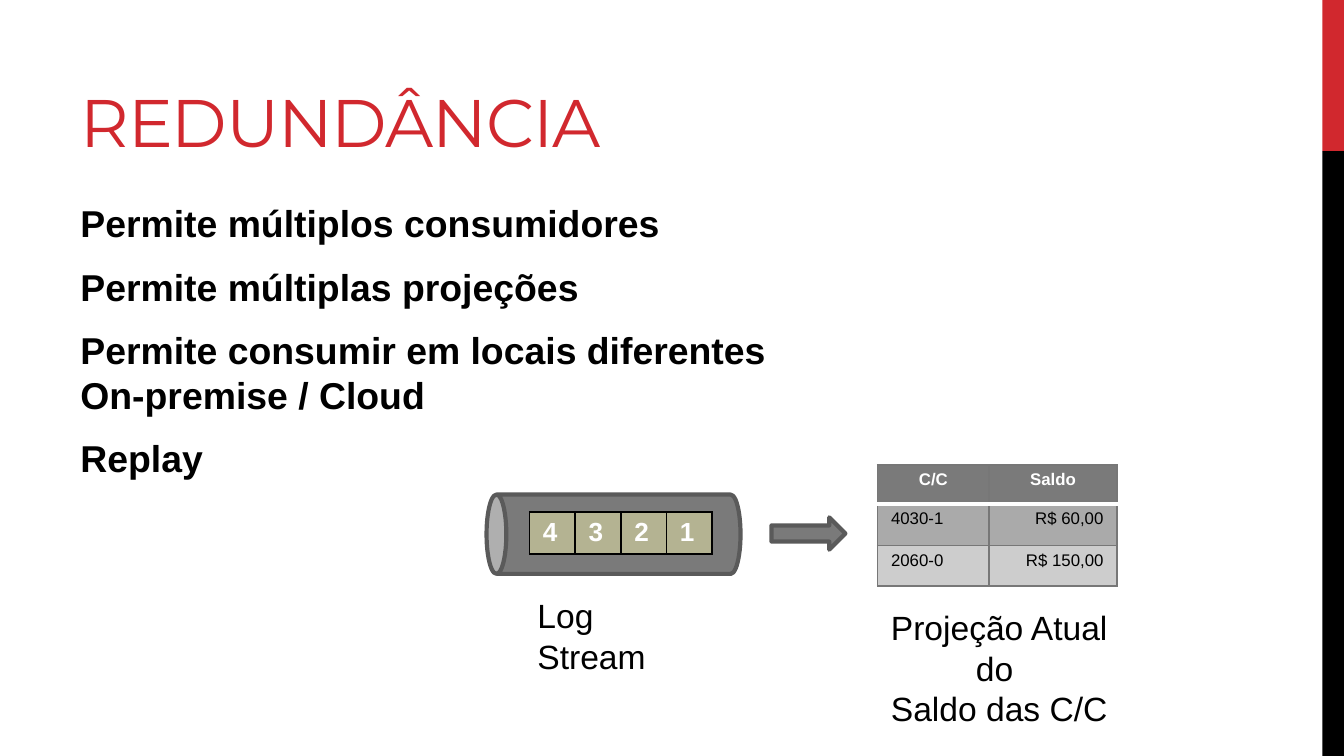
from dataclasses import dataclass

from lxml.etree import SubElement
from pptx import Presentation
from pptx.dml.color import RGBColor
from pptx.enum.shapes import MSO_SHAPE
from pptx.enum.text import MSO_ANCHOR, PP_ALIGN
from pptx.oxml.ns import qn
from pptx.util import Inches, Pt

PAGE_WIDTH = 10
PAGE_HEIGHT = PAGE_WIDTH * 9 / 16
RED_HEIGHT = PAGE_HEIGHT / 5
RED, BLACK, WHITE = "D1282E", "000000", "FFFFFF"
GRAY, DARK_GRAY, BORDER_GRAY = "7A7A7A", "5A5A5A", "777777"
LEFT, CENTER, RIGHT = PP_ALIGN.LEFT, PP_ALIGN.CENTER, PP_ALIGN.RIGHT


@dataclass
class Area:
    left: float
    top: float
    width: float
    height: float

    def lengths(self) -> list:
        return [Inches(value) for value in (self.left, self.top, self.width, self.height)]


@dataclass
class Solid:
    kind: MSO_SHAPE
    area: Area
    fill: str
    line: str | None = None
    rotation: int = 0


@dataclass
class Label:
    area: Area
    paragraphs: list[str]
    size: int
    bold: bool = False
    align: PP_ALIGN = LEFT
    before: int = 0
    after: int = 0


@dataclass
class CellStyle:
    fill: str
    color: str
    size: int
    bold: bool
    aligns: list[PP_ALIGN]
    edges: dict[str, tuple[str, float]]


def rgb(value: str) -> RGBColor:
    return RGBColor.from_string(value)


def write(para, text: str, *, size: float, color: str = BLACK, bold: bool = False,
          font: str = "Arial", align: PP_ALIGN = LEFT, before: float = 0,
          after: float = 0, tracking: int = 0) -> None:
    para.text = text
    para.alignment = align
    para.space_before, para.space_after = Pt(before), Pt(after)
    for span in para.runs:
        span.font.name = font
        span.font.size = Pt(size)
        span.font.bold = bold
        span.font.color.rgb = rgb(color)
        if tracking:
            span.font._element.set("spc", str(tracking))


def draw_solid(page, solid: Solid) -> None:
    shape = page.shapes.add_shape(solid.kind, *solid.area.lengths())
    shape.shadow.inherit = False
    shape.rotation = solid.rotation
    shape.fill.solid()
    shape.fill.fore_color.rgb = rgb(solid.fill)
    if solid.line:
        shape.line.color.rgb = rgb(solid.line)
        shape.line.width = Pt(2.25)
    else:
        shape.line.fill.background()


def draw_label(page, label: Label) -> None:
    frame = page.shapes.add_textbox(*label.area.lengths()).text_frame
    frame.word_wrap = True
    for index, text in enumerate(label.paragraphs):
        para = frame.add_paragraph() if index else frame.paragraphs[0]
        write(para, text, size=label.size, bold=label.bold, align=label.align,
              before=label.before, after=label.after)


def draw_edges(cell, edges: dict[str, tuple[str, float]]) -> None:
    properties = cell._tc.get_or_add_tcPr()
    for side in "LRTB":
        color, width = edges[side]
        line = SubElement(properties, qn(f"a:ln{side}"), w=str(Pt(width)))
        fill = SubElement(line, qn("a:solidFill"))
        SubElement(fill, qn("a:srgbClr"), val=color)


def draw_table(page, area: Area, widths: list[float], heights: list[float],
               rows: list[list[str]], styles: list[CellStyle]) -> None:
    table = page.shapes.add_table(len(rows), len(widths), *area.lengths()).table
    table.first_row = table.horz_banding = False
    for column, width in zip(table.columns, widths):
        column.width = Inches(width)
    for row, height, texts, style in zip(table.rows, heights, rows, styles):
        row.height = Inches(height)
        for cell, text, align in zip(row.cells, texts, style.aligns):
            cell.margin_left = cell.margin_right = Inches(0.1)
            cell.margin_top = cell.margin_bottom = Inches(0.04)
            draw_edges(cell, style.edges)
            cell.fill.solid()
            cell.fill.fore_color.rgb = rgb(style.fill)
            write(cell.text_frame.paragraphs[0], text, size=style.size,
                  color=style.color, bold=style.bold, align=align)


def draw_title(page, text: str) -> None:
    title = page.shapes.title
    title.left, title.top, title.width, title.height = Area(0.5, 0.13, 6.33, 1.12).lengths()
    title.text_frame.vertical_anchor = MSO_ANCHOR.BOTTOM
    write(title.text_frame.paragraphs[0], text, size=36, color=RED,
          font="Montserrat", tracking=-60)


SOLIDS = [
    Solid(MSO_SHAPE.RECTANGLE, Area(9.84, 0, 0.16, RED_HEIGHT), RED),
    Solid(MSO_SHAPE.RECTANGLE, Area(9.84, RED_HEIGHT, 0.16, PAGE_HEIGHT - RED_HEIGHT), BLACK),
    Solid(MSO_SHAPE.CAN, Area(4.27, 3.03, 0.59, 1.89), GRAY, DARK_GRAY, 270),
    Solid(MSO_SHAPE.RIGHT_ARROW, Area(5.74, 3.85, 0.55, 0.24), GRAY, DARK_GRAY),
]
LABELS = [
    Label(Area(0.5, 1.44, 8.33, 3.59), [
        "Permite múltiplos consumidores",
        "Permite múltiplas projeções",
        "Permite consumir em locais diferentes \vOn-premise / Cloud",
        "Replay",
    ], 20, bold=True, before=4, after=6),
    Label(Area(3.9, 4.38, 1.35, 0.4), ["Log Stream"], 18),
    Label(Area(6.4, 4.47, 2.07, 0.71), ["Projeção Atual do \vSaldo das C/C"], 18, align=CENTER),
]
GRAY_EDGES = dict.fromkeys("LRTB", (BORDER_GRAY, 1))
BLACK_EDGES = dict.fromkeys("LRTB", (BLACK, 1))
WHITE_EDGE = (WHITE, 2.25)
BALANCE_STYLES = [
    CellStyle(GRAY, WHITE, 9, True, [CENTER, CENTER], GRAY_EDGES | {"B": WHITE_EDGE}),
    CellStyle("AAAAAA", BLACK, 9, False, [LEFT, RIGHT], GRAY_EDGES | {"T": WHITE_EDGE}),
    CellStyle("CDCDCD", BLACK, 9, False, [LEFT, RIGHT], GRAY_EDGES),
]
BALANCES = [["C/C", "Saldo"], ["4030-1", "R$ 60,00"], ["2060-0", "R$ 150,00"]]
LOG_STYLE = CellStyle("B4B392", WHITE, 14, True, [LEFT] * 4, BLACK_EDGES)


def main() -> None:
    deck = Presentation()
    deck.slide_width, deck.slide_height = Inches(PAGE_WIDTH), Inches(PAGE_HEIGHT)
    page = deck.slides.add_slide(deck.slide_layouts[5])
    draw_title(page, "REDUNDÂNCIA")
    for solid in SOLIDS:
        draw_solid(page, solid)
    for label in LABELS:
        draw_label(page, label)
    draw_table(page, Area(6.53, 3.46, 1.78, 0.9), [0.83, 0.95], [0.29, 0.31, 0.3],
               BALANCES, BALANCE_STYLES)
    draw_table(page, Area(3.94, 3.81, 1.36, 0.3), [0.34] * 4, [0.3],
               [["4", "3", "2", "1"]], [LOG_STYLE])
    deck.save("out.pptx")


if __name__ == "__main__":
    main()
